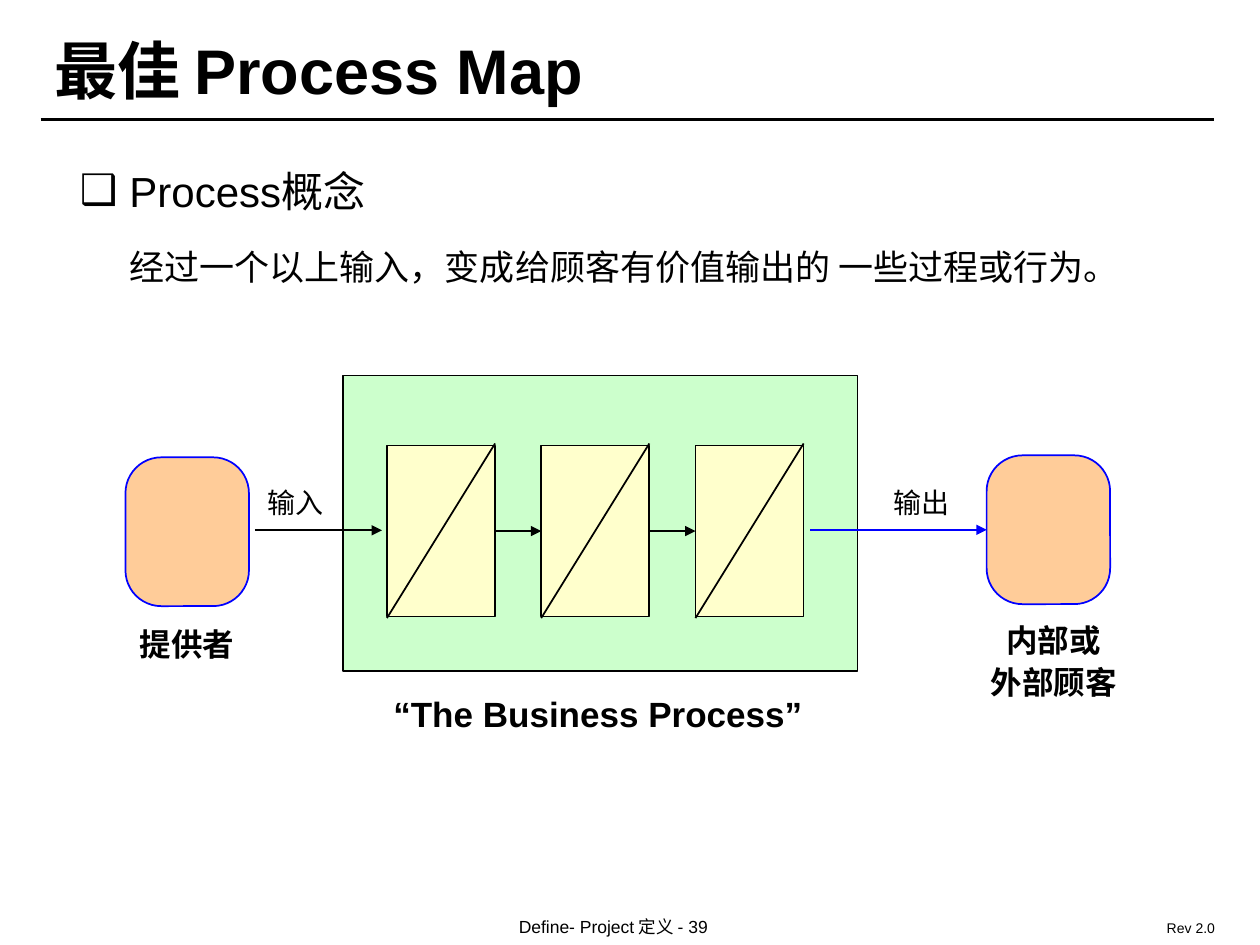
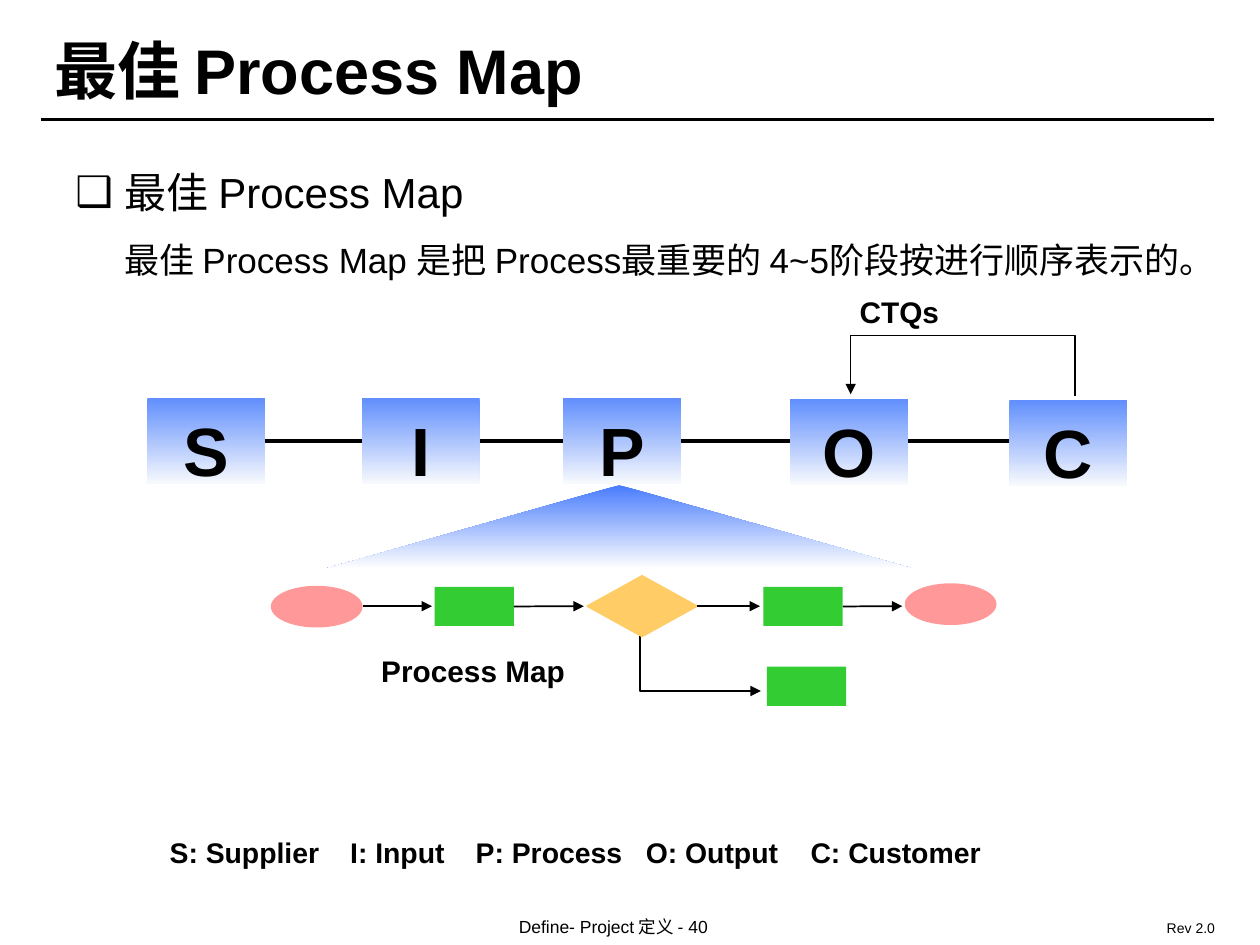
from dataclasses import dataclass

from lxml.etree import SubElement
from pptx import Presentation
from pptx.dml.color import RGBColor
from pptx.enum.lang import MSO_LANGUAGE_ID
from pptx.enum.shapes import MSO_CONNECTOR, MSO_SHAPE
from pptx.enum.text import MSO_ANCHOR, PP_ALIGN
from pptx.oxml.ns import qn
from pptx.util import Cm, Pt


@dataclass(frozen=True)
class Theme:
    font: str = "Arial"
    ink: str = "000000"
    blue: str = "0000FF"
    mint: str = "CCFFCC"
    cream: str = "FFFFCC"
    peach: str = "FFCC99"
    green: str = "33CC33"
    pink: str = "FF9999"
    amber: str = "FFCC66"
    fade: tuple = ("618FFD", "F7F9FD")
    beam: tuple = ("497CFD", "FEFEFE")
    title: int = 36
    head: int = 24
    body: int = 20
    name: int = 18
    label: int = 17
    flow: int = 16
    letter: int = 39
    key: int = 28
    foot: int = 10
    rev: int = 8


theme = Theme()
MID, TOP = MSO_ANCHOR.MIDDLE, MSO_ANCHOR.TOP
LEFT, RIGHT = 1, 3


def put(page, text="", box=None, item=None, kind=None, fill=None, edge=None,
        size=theme.body, bold=False, center=False, anchor=TOP, wrap=True,
        pad=(0.25, 0.13), lead=None, before=None, hang=None, bullet=None,
        tabs=(), lift=0):
    """Place text in a new box or shape, or add a paragraph to item.

    Lengths are in cm; a pair of colours as fill makes a downward gradient,
    and hang holds the left margin and first-line indent.
    """
    if item:
        para = item.text_frame.add_paragraph()
    else:
        place = [Cm(n) for n in box]
        if kind is None:
            item = page.shapes.add_textbox(*place)
        else:
            item = page.shapes.add_shape(kind, *place)
            item.shadow.inherit = False
            if isinstance(fill, tuple):
                item.fill.gradient()
                item.fill.gradient_angle = 270
                for stop, color in zip(item.fill.gradient_stops, fill):
                    stop.color.rgb = RGBColor.from_string(color)
            else:
                item.fill.solid()
                item.fill.fore_color.rgb = RGBColor.from_string(fill)
            if edge:
                item.line.color.rgb = RGBColor.from_string(edge)
                item.line.width = Pt(1)
            else:
                item.line.fill.background()
        frame = item.text_frame
        frame.word_wrap, frame.vertical_anchor = wrap, anchor
        frame.margin_left = frame.margin_right = Cm(pad[0])
        frame.margin_top = frame.margin_bottom = Cm(pad[1])
        para = frame.paragraphs[0]
    if not text:
        return item

    props = para._p.get_or_add_pPr()
    if hang:
        props.set("marL", str(Cm(hang[0])))
        props.set("indent", str(Cm(hang[1])))
    if bullet:
        tint = SubElement(props, qn("a:buClr"))
        SubElement(tint, qn("a:srgbClr"), val=theme.ink)
        SubElement(props, qn("a:buFont"), typeface=theme.font)
        SubElement(props, qn("a:buChar"), char=bullet)
    if tabs:
        stops = SubElement(props, qn("a:tabLst"))
        for tab in tabs:
            SubElement(stops, qn("a:tab"), pos=str(Cm(tab)), algn="l")
    para.alignment = PP_ALIGN.CENTER if center else PP_ALIGN.LEFT
    if lead:
        para.line_spacing = lead
    if before:
        para.space_before = Pt(before)
    run = para.add_run()
    run.text = text
    run.font.name, run.font.size, run.font.bold = theme.font, Pt(size), bold
    run.font.color.rgb = RGBColor.from_string(theme.ink)
    run.font.language_id = MSO_LANGUAGE_ID.SIMPLIFIED_CHINESE
    if lift:
        run._r.get_or_add_rPr().set("baseline", str(lift * 1000))
    return item


def link(page, *points, color=theme.ink, width=1, arrow=True, source=None, target=None):
    """Draw a straight connector or an open bent path, optionally joined to shapes."""
    spots = [(Cm(x), Cm(y)) for x, y in points]
    if len(spots) == 2:
        item = page.shapes.add_connector(MSO_CONNECTOR.STRAIGHT, *spots[0], *spots[1])
        if source:
            item.begin_connect(source, RIGHT)
        if target:
            item.end_connect(target, LEFT)
    else:
        path = page.shapes.build_freeform(*spots[0])
        path.add_line_segments(spots[1:], close=False)
        item = path.convert_to_shape()
        item.fill.background()
    item.line.color.rgb = RGBColor.from_string(color)
    item.line.width = Pt(width)
    props = item._element.spPr
    if arrow:
        SubElement(props.find(qn("a:ln")), qn("a:tailEnd"), type="triangle")
    SubElement(props, qn("a:effectLst"))


deck = Presentation()
deck.slide_width, deck.slide_height = Cm(25.4), Cm(19.05)

# Shared title, rule and footers
pages = []
for number in (39, 40):
    page = deck.slides.add_slide(deck.slide_layouts[6])
    put(page, f"Define- Project 定义 - {number}", (10.16, 18.31, 5.82, 0.74),
        size=theme.foot, pad=(0.3, 0.15))
    put(page, "Rev 2.0", (23.22, 18.39, 2.06, 0.64), size=theme.rev, pad=(0.3, 0.15))
    link(page, (0.82, 2.41), (24.47, 2.41), width=1.5, arrow=False)
    put(page, "最佳 Process Map", (0.84, 0.7, 14, 1.4), size=theme.title, bold=True, anchor=MID)
    pages.append(page)
concept, sipoc = pages

# Process concept
put(concept, "“The Business Process”", (6.81, 13.84, 10.49, 1.09), bold=True, center=True)
put(concept, box=(6.91, 7.57, 10.38, 5.96), kind=MSO_SHAPE.RECTANGLE,
    fill=theme.mint, edge=theme.ink)

ends = []
for x, y in ((2.53, 9.22), (19.89, 9.18)):
    end = put(concept, box=(x, y, 2.49, 3), kind=MSO_SHAPE.ROUNDED_RECTANGLE,
              fill=theme.peach, edge=theme.blue)
    end.adjustments[0] = 0.29
    ends.append(end)

steps = []
for n in range(3):
    x = 7.8 + n * 3.11
    step = put(concept, box=(x, 8.98, 2.18, 3.45), kind=MSO_SHAPE.RECTANGLE,
               fill=theme.cream, edge=theme.ink)
    link(concept, (x, 12.46), (x + 2.18, 8.94), arrow=False)
    steps.append(step)
for left, right in zip(steps, steps[1:]):
    link(concept, (0, 0), (0, 0), source=left, target=right)
link(concept, (5.14, 10.69), (7.7, 10.69))
link(concept, (16.33, 10.68), (19.89, 10.68), color=theme.blue, target=ends[1])

put(concept, "提供者", (2.52, 12.47, 2.51, 1.02), size=theme.name, bold=True, center=True)
buyer = put(concept, "内部或", (19.54, 12.32, 3.4, 1.93), size=theme.name,
            bold=True, center=True, lead=1.1)
put(concept, "外部顾客", item=buyer, size=theme.name, bold=True, center=True, lead=1.1)
for text, x in (("输入", 4.76), ("输出", 17.38)):
    put(concept, text, (x, 9.65, 2.39, 0.91), size=theme.flow, center=True)

body = put(concept, "Process概念", (1.36, 2.87, 23.6, 3.38), size=theme.head,
           anchor=MID, hang=(1, -1), bullet="❑")
put(concept, "经过一个以上输入，变成给顾客有价值输出的 一些过程或行为。", item=body,
    hang=(1, 0), lead=1.7)

# SIPOC chain
link(sipoc, (3.53, 8.89), (20.75, 8.89), width=2, arrow=False)
for letter, x, y in (("S", 2.97, 8.03), ("I", 7.29, 8.03), ("P", 11.35, 8.03),
                     ("O", 15.93, 8.05), ("C", 20.35, 8.07)):
    put(sipoc, letter, (x, y, 2.38, 1.72), kind=MSO_SHAPE.RECTANGLE, fill=theme.fade,
        size=theme.letter, bold=True, center=True, anchor=MID, wrap=False, lead=1.2)
put(sipoc, box=(6.58, 9.78, 11.81, 1.68), kind=MSO_SHAPE.ISOSCELES_TRIANGLE, fill=theme.beam)
link(sipoc, (21.67, 7.98), (21.67, 6.76), (17.15, 6.76), (17.15, 7.95), width=0.75)

# Flow beneath the chain
for x, y in ((5.46, 11.81), (18.24, 11.76)):
    put(sipoc, box=(x, y, 1.85, 0.84), kind=MSO_SHAPE.OVAL, fill=theme.pink)
tasks = [put(sipoc, box=(x, y, 1.6, 0.79), kind=MSO_SHAPE.RECTANGLE, fill=theme.green)
         for x, y in ((8.76, 11.83), (15.39, 11.83), (15.46, 13.44))]
link(sipoc, (12.9, 12.8), (12.9, 13.93), (15.34, 13.93))
choice = put(sipoc, box=(11.84, 11.61, 2.21, 1.22), kind=MSO_SHAPE.DIAMOND,
             fill=theme.amber, edge=theme.amber)
for start, stop, source in ((7.31, 8.71, None), (10.36, 11.77, tasks[0]),
                            (14.05, 15.32, choice), (16.99, 18.19, tasks[1])):
    link(sipoc, (start, 12.22), (stop, 12.22), source=source)

put(sipoc, "Process Map", (6.81, 13.11, 5.46, 0.84), size=theme.label, bold=True,
    center=True, pad=(0.13, 0.05))
put(sipoc, "CTQs", (17.2, 5.87, 4.45, 0.84), size=theme.label, bold=True, pad=(0.13, 0.05))
body = put(sipoc, "最佳 Process Map", (1.27, 3.1, 23.4, 2.82), size=theme.head,
           anchor=MID, hang=(1, -1), bullet="❑")
put(sipoc, "最佳 Process Map 是把 Process最重要的 4~5阶段按进行顺序表示的。", item=body,
    hang=(0.79, 0.2), before=12.5)
put(sipoc, "S: Supplier\tI: Input\tP: Process\tO: Output\tC: Customer",
    (3.12, 16.1, 20.88, 1.98), size=theme.key, bold=True, pad=(0.3, 0.15), lead=1.4,
    tabs=(3.64, 6.17, 9.6, 12.92), lift=30)

deck.save("out.pptx")
